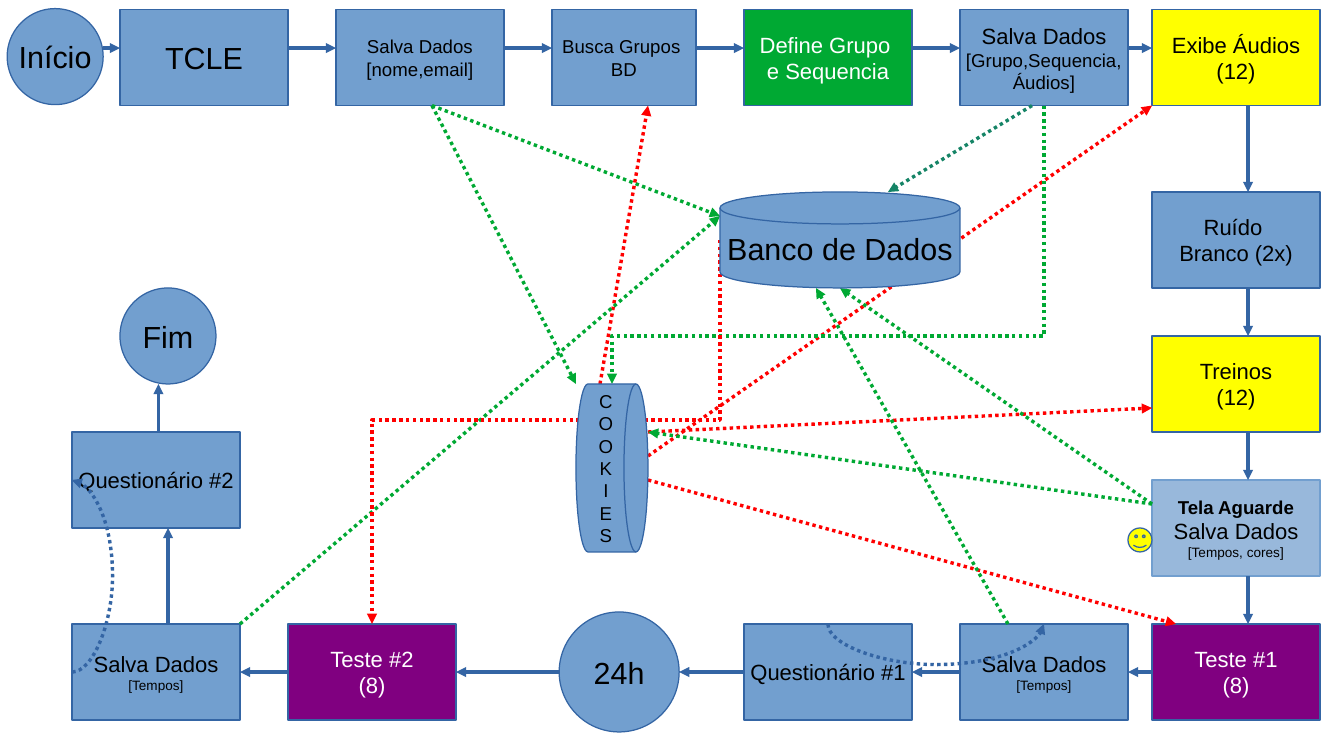
"""Draw the flow of a listening experiment as one slide."""
from dataclasses import dataclass

from lxml import etree
from pptx import Presentation
from pptx.dml.color import RGBColor
from pptx.enum import dml, shapes, text
from pptx.oxml import ns
from pptx.util import Cm, Pt

BLUE = RGBColor(0x72, 0x9F, 0xCF)
EDGE = RGBColor(0x34, 0x65, 0xA4)
GREEN = RGBColor(0x00, 0xA9, 0x33)
TEAL = RGBColor(0x15, 0x84, 0x66)
RED = RGBColor(0xFF, 0x00, 0x00)
YELLOW = RGBColor(0xFF, 0xFF, 0x00)
PURPLE = RGBColor(0x80, 0x00, 0x80)
BLACK = RGBColor(0x00, 0x00, 0x00)
WHITE = RGBColor(0xFF, 0xFF, 0xFF)

KIND = shapes.MSO_SHAPE
LINK = shapes.MSO_CONNECTOR
THIN = 0.01


@dataclass
class Row:
    words: str
    size: int = 13
    bold: bool = False


@dataclass
class Node:
    left: float
    top: float
    rows: list[Row]
    fill: RGBColor = BLUE
    ink: RGBColor = BLACK
    wide: float = 3.5
    high: float = 2
    kind: KIND = KIND.RECTANGLE
    edge: RGBColor = EDGE
    alpha: int = 100


@dataclass
class Arrow:
    x1: float
    y1: float
    x2: float
    y2: float
    color: RGBColor = EDGE
    dots: bool = False


@dataclass
class Bend:
    arrow: Arrow
    kind: LINK
    turn: int
    depth: float


SAVE = Row("Salva Dados")
TIMES = Row("[Tempos]", 8)

NODES = [
    Node(2.5, 0.2, [Row("TCLE", 18)]),
    Node(7, 0.2, [Row("Salva Dados", 11), Row("[nome,email]", 11)]),
    Node(11.5, 0.2, [Row("Busca Grupos ", 11), Row("BD", 11)], wide=3),
    Node(15.5, 0.2, [Row("Define Grupo "), Row("e Sequencia")], GREEN, WHITE),
    Node(20, 0.2, [SAVE, Row("[Grupo,Sequencia,", 11), Row("Áudios]", 11)]),
    Node(24, 4, [Row("Ruído "), Row("Branco (2x)")]),
    Node(24, 0.2, [Row("Exibe Áudios"), Row("(12)")], YELLOW),
    Node(24, 7, [Row("Treinos"), Row("(12)")], YELLOW),
    Node(24, 10, [Row("Tela Aguarde", 11, True), SAVE, Row("[Tempos, cores]", 8)],
         edge=BLUE, alpha=73),
    Node(24, 13, [Row("Teste #1"), Row("(8)")], PURPLE, WHITE),
    Node(20, 13, [SAVE, TIMES]),
    Node(11.65, 12.75, [Row("24h", 18)], wide=2.5, high=2.5, kind=KIND.OVAL),
    Node(15.5, 13, [Row("Questionário #1")]),
    Node(6, 13, [Row("Teste #2"), Row("(8)")], PURPLE, WHITE),
    Node(1.5, 13, [SAVE, TIMES]),
    Node(1.5, 9, [Row("Questionário #2")]),
    Node(2.5, 6, [Row("Fim", 18)], wide=2, kind=KIND.OVAL),
    Node(0.15, 0.18, [Row("Início", 18)], wide=2, kind=KIND.OVAL),
]

STORES = [
    Node(15, 4, [Row("Banco de Dados", 18)], wide=5,
         kind=KIND.FLOWCHART_MAGNETIC_DISK),
    Node(12, 8, [Row(mark, 11) for mark in "COOKIES"], wide=1.5, high=3.5,
         kind=KIND.FLOWCHART_DIRECT_ACCESS_STORAGE),
]

FACE = Node(23.5, 11, [], YELLOW, wide=0.5, high=0.5, kind=KIND.SMILEY_FACE)

TOP = [(2.15, 2.5), (6, 7), (10.5, 11.5), (14.5, 15.5), (19, 20), (23.5, 24)]
SIDE = [(2.2, 4), (6, 7), (9, 10), (12, 13)]
BASE = [(24, 23.5), (20, 19), (15.5, 14.15), (11.65, 9.5), (6, 5)]

ARROWS = [
    *(Arrow(a, 1, b, 1) for a, b in TOP),
    *(Arrow(26, a, 26, b) for a, b in SIDE),
    *(Arrow(a, 14, b, 14) for a, b in BASE),
    Arrow(3.5, 13, 3.5, 11),
    Arrow(3.3, 9, 3.3, 8),
    Arrow(9, 2.2, 15, 4.5, GREEN, True),
    Arrow(9, 2.2, 12, 8, GREEN, True),
    Arrow(12.5, 8, 13.5, 2.2, RED, True),
    Arrow(21.5, 2.2, 18.5, 4, TEAL, True),
    Arrow(13.5, 9.5, 24, 2.2, RED, True),
    Arrow(13.5, 9, 24, 8.5, RED, True),
    Arrow(24, 10.5, 17.5, 6, GREEN, True),
    Arrow(24, 10.5, 13.5, 9, GREEN, True),
    Arrow(13.5, 10, 24.5, 13, RED, True),
    Arrow(21, 13, 17, 6, GREEN, True),
    Arrow(5, 13, 15, 4.5, GREEN, True),
]

BENDS = [
    Bend(Arrow(21.75, 2.2, 12.75, 8, GREEN, True), LINK.ELBOW, 90, 4.8),
    Bend(Arrow(15, 5, 7.75, 13, RED, True), LINK.ELBOW, 90, 3.75),
    Bend(Arrow(17.25, 13, 21.75, 13, EDGE, True), LINK.CURVE, 270, -0.84),
    Bend(Arrow(1.5, 14, 1.5, 10, EDGE, True), LINK.CURVE, 180, -0.84),
]


def add_node(slide, node: Node):
    """Draw one filled shape with its centred rows of text."""
    shape = slide.shapes.add_shape(
        node.kind, Cm(node.left), Cm(node.top), Cm(node.wide), Cm(node.high))
    shape.shadow.inherit = False
    shape.fill.solid()
    shape.fill.fore_color.rgb = node.fill
    if node.alpha < 100:
        tint = shape._element.spPr.find(".//" + ns.qn("a:srgbClr"))
        etree.SubElement(tint, ns.qn("a:alpha"), val=str(node.alpha * 1000))
    shape.line.color.rgb = node.edge
    shape.line.width = Pt(0)
    frame = shape.text_frame
    frame.word_wrap = False
    frame.vertical_anchor = text.MSO_ANCHOR.MIDDLE
    for i, row in enumerate(node.rows):
        para = frame.add_paragraph() if i else frame.paragraphs[0]
        para.alignment = text.PP_ALIGN.CENTER
        run = para.add_run()
        run.text = row.words
        run.font.name = "Arial"
        run.font.size = Pt(row.size)
        run.font.bold = row.bold
        run.font.color.rgb = node.ink
    return shape


def add_arrow(slide, arrow: Arrow, kind: LINK = LINK.STRAIGHT):
    """Draw one thin connector with a head at its end."""
    ends = (Cm(n) for n in (arrow.x1, arrow.y1, arrow.x2, arrow.y2))
    link = slide.shapes.add_connector(kind, *ends)
    link.line.color.rgb = arrow.color
    link.line.width = Pt(0)
    if arrow.dots:
        link.line.dash_style = dml.MSO_LINE.ROUND_DOT
    etree.SubElement(link.line._ln, ns.qn("a:tailEnd"), type="triangle")
    etree.SubElement(link._element.spPr, ns.qn("a:effectLst"))
    return link


def add_bend(slide, bend: Bend) -> None:
    """Draw a turned connector whose middle part lies at a given depth."""
    way = bend.arrow
    wide, high = abs(way.x2 - way.x1), abs(way.y2 - way.y1)
    if bend.turn % 180:
        wide, high = high, wide
    wide = max(wide, THIN)
    left = (way.x1 + way.x2 - wide) / 2
    top = (way.y1 + way.y2 - high) / 2
    flat = Arrow(left, top, left + wide, top + high, way.color, way.dots)
    props = add_arrow(slide, flat, bend.kind)._element.spPr
    props.find(ns.qn("a:xfrm")).set("rot", str(bend.turn * 60000))
    guides = props.find(".//" + ns.qn("a:avLst"))
    ratio = round(bend.depth / wide * 100000)
    etree.SubElement(guides, ns.qn("a:gd"), name="adj1", fmla=f"val {ratio}")


def main() -> None:
    """Build the slide and save it."""
    deck = Presentation()
    deck.slide_width, deck.slide_height = Cm(28), Cm(15.75)
    slide = deck.slides.add_slide(deck.slide_layouts[6])
    for node in NODES:
        add_node(slide, node)
    for arrow in ARROWS:
        add_arrow(slide, arrow)
    for bend in BENDS:
        add_bend(slide, bend)
    for store in STORES:
        add_node(slide, store)
    add_node(slide, FACE).adjustments[0] = 0.09
    deck.save("out.pptx")


if __name__ == "__main__":
    main()
